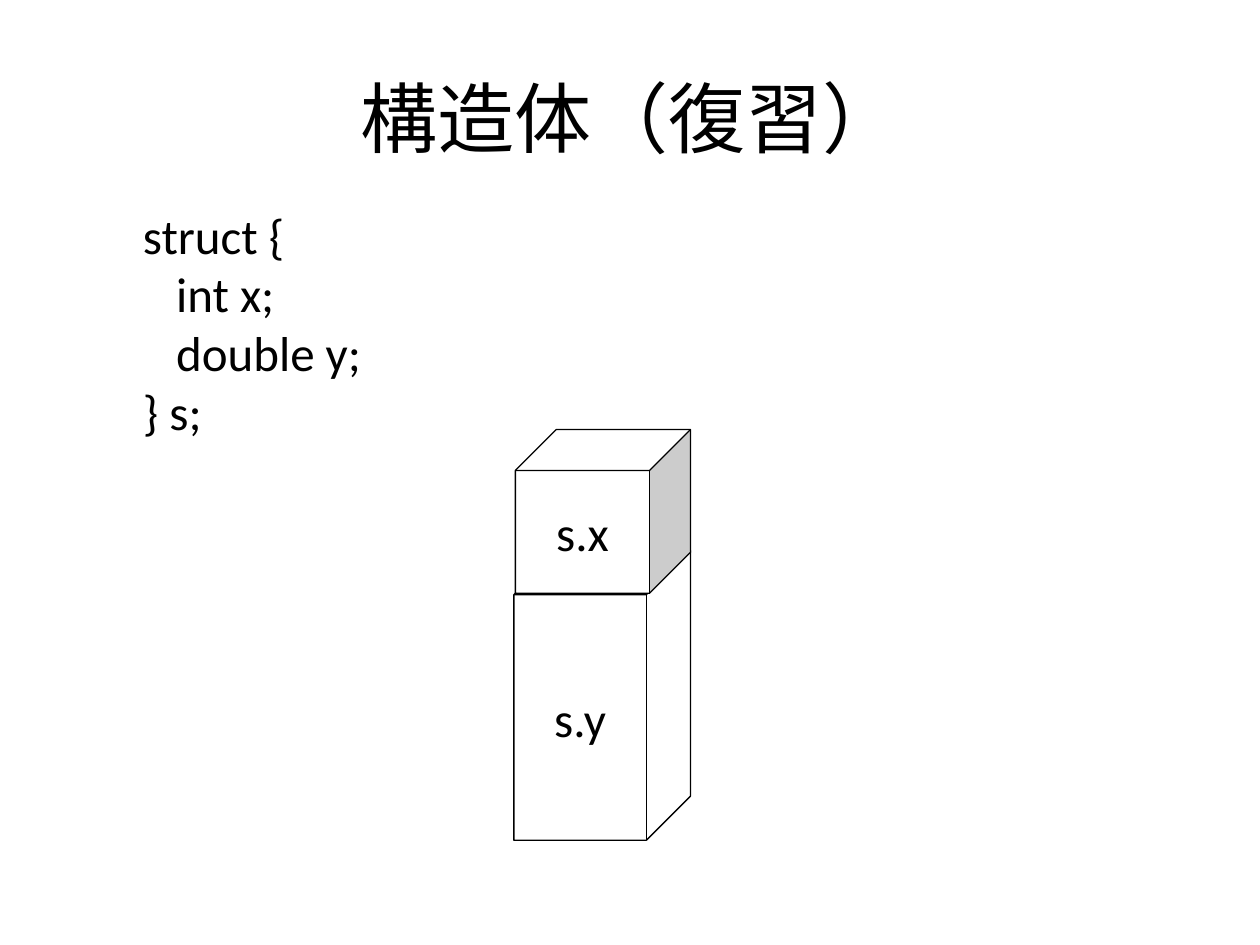
from pptx import Presentation
from pptx.dml.color import RGBColor
from pptx.enum.shapes import MSO_SHAPE as Shape
from pptx.enum.text import MSO_ANCHOR as Anchor, PP_ALIGN as Align
from pptx.util import Cm, Pt

BLACK = RGBColor(0, 0, 0)
WHITE = RGBColor(255, 255, 255)

STRUCT_CODE = [" struct {", "    int x;", "    double y;", " } s;"]


def write(tf, lines, size, align):
    for i, line in enumerate(lines):
        p = tf.paragraphs[0] if i == 0 else tf.add_paragraph()
        p.alignment = align
        r = p.add_run()
        r.text = line
        r.font.color.rgb = BLACK
        for name, value in {"name": "Calibri", "size": Pt(size)}.items():
            setattr(r.font, name, value)


def add_text(s, box, lines, size, align=Align.LEFT, anchor=Anchor.TOP, wrap=True):
    tf = s.shapes.add_textbox(*map(Cm, box)).text_frame
    tf.word_wrap = wrap
    tf.vertical_anchor = anchor
    write(tf, lines, size, align)


def add_member_cube(s, box, label, fill=None):
    """Draw one struct member as a cube; without a fill it is see-through."""
    sp = s.shapes.add_shape(Shape.CUBE, *map(Cm, box))
    sp.shadow.inherit = False
    if fill is None:
        sp.fill.background()
    else:
        sp.fill.solid()
        sp.fill.fore_color.rgb = fill
    sp.line.color.rgb = BLACK
    sp.line.width = Pt(0.75)
    sp.text_frame.word_wrap = True
    sp.text_frame.vertical_anchor = Anchor.MIDDLE
    write(sp.text_frame, [label], 28, Align.CENTER)


def main():
    prs = Presentation()
    prs.slide_width, prs.slide_height = Cm(25.4), Cm(19.05)
    s = prs.slides.add_slide(prs.slide_layouts[6])

    add_text(s, (1.27, 0.76, 22.86, 3.18), ["構造体（復習）"], 44,
             Align.CENTER, Anchor.MIDDLE)
    add_text(s, (2.41, 4.01, 5.23, 5.05), STRUCT_CODE, 28, wrap=False)
    add_member_cube(s, (10.36, 11.1, 3.56, 5.84), "s.y")
    add_member_cube(s, (10.39, 8.66, 3.53, 3.3), "s.x", WHITE)

    prs.save("out.pptx")


if __name__ == "__main__":
    main()
